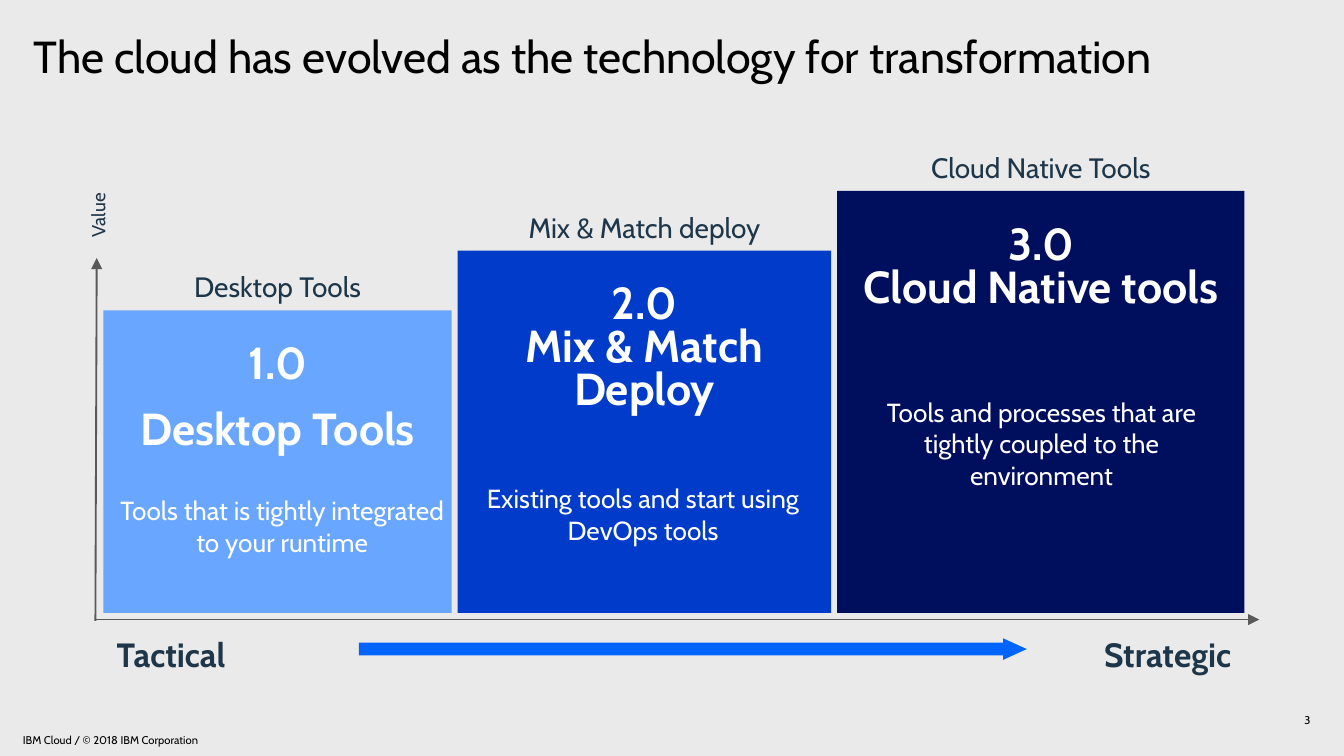
"""Build the slide on the three stages of cloud tools."""
from lxml.etree import SubElement as Sub
from pptx import Presentation as Deck
from pptx.dml.color import RGBColor as Color
from pptx.enum.shapes import MSO_CONNECTOR as Link, MSO_SHAPE as Shape
from pptx.enum.text import MSO_ANCHOR as Anchor, MSO_AUTO_SIZE as Fit, PP_ALIGN as Align
from pptx.oxml.ns import qn
from pptx.util import Inches, Pt

PAPER = Color(0xEA, 0xEA, 0xEA)
BLACK = Color(0, 0, 0)
WHITE = Color(0xFF, 0xFF, 0xFF)
SLATE = Color(0x1D, 0x36, 0x49)
GREY = Color(0x59, 0x59, 0x59)
SKY = Color(0x69, 0xA6, 0xFF)
BLUE = Color(0x00, 0x3B, 0xC9)
NAVY = Color(0x00, 0x0E, 0x5E)
BRIGHT = Color(0x00, 0x64, 0xFF)
COLS, ROWS = 100, 56.25


def write(frame, text, size=14, color=BLACK, bold=False, align=Align.LEFT,
          lead=None, after=0, pad=(0, 0), anchor=Anchor.TOP, font="Cabin"):
    """Fill a text frame, one paragraph per line of text."""
    frame.word_wrap = True
    frame.auto_size = Fit.NONE
    frame.vertical_anchor = anchor
    frame.margin_left = frame.margin_right = Inches(pad[0])
    frame.margin_top = frame.margin_bottom = Inches(pad[1])
    frame.text = text
    for para in frame.paragraphs:
        para.alignment = align
        para.line_spacing = lead
        para.space_before, para.space_after = Pt(0), Pt(after)
        for run in para.runs:
            face = run.font
            face.name, face.size, face.bold = font, Pt(size), bold
            face.color.rgb = color


class Board:
    """Hold the style and current slide; lengths are grid columns and rows."""

    def __init__(self, deck):
        self.slide = deck.slides.add_slide(deck.slide_layouts[5])
        self.shapes = self.slide.shapes
        self.col = deck.slide_width / COLS
        self.row = deck.slide_height / ROWS
        fill = self.slide.background.fill
        fill.solid()
        fill.fore_color.rgb = PAPER

    def place(self, x, y, wide, high):
        """Turn grid units into slide lengths."""
        return [round(n * unit) for n, unit in
                zip((x, y, wide, high), (self.col, self.row) * 2)]

    def title(self, box, text, **style):
        """Move and fill the title."""
        head = self.shapes.title
        head.left, head.top, head.width, head.height = self.place(*box)
        write(head.text_frame, text, **style)

    def text(self, box, text, turn=0, **style):
        """Add a text box."""
        item = self.shapes.add_textbox(*self.place(*box))
        item.rotation = turn
        write(item.text_frame, text, **style)

    def block(self, box, color, kind=Shape.RECTANGLE, tweaks=()):
        """Add a flat filled shape."""
        item = self.shapes.add_shape(kind, *self.place(*box))
        item.shadow.inherit = False
        item.fill.solid()
        item.fill.fore_color.rgb = color
        item.line.fill.background()
        for spot, value in enumerate(tweaks):
            item.adjustments[spot] = value

    def axis(self, *ends):
        """Add a line with an arrowhead at its end."""
        item = self.shapes.add_connector(Link.STRAIGHT, *self.place(*ends))
        item.line.color.rgb = GREY
        item.line.width = Pt(1)
        Sub(item.line._get_or_add_ln(), qn("a:tailEnd"), type="triangle")
        Sub(item._element.spPr, qn("a:effectLst"))


def main():
    """Draw the slide and save it."""
    deck = Deck()
    deck.slide_width = Inches(10)
    deck.slide_height = deck.slide_width * 9 // 16
    board = Board(deck)
    board.title((2.5, 2.6, 92.5, 8.4),
                "The cloud has evolved as the technology for transformation",
                size=24, lead=0.9)

    steps = [
        (25.9, SKY, "Desktop Tools", "1.0\nDesktop Tools", 12,
         "Tools that is tightly integrated to your runtime", 36.8, (0.8, 0.1)),
        (27.8, BLUE, "Mix & Match deploy", "2.0\nMix & Match Deploy", 0,
         "Existing tools and start using DevOps tools", 35.9, (-0.1, 0.1)),
        (30.3, NAVY, "Cloud Native Tools", "3.0\vCloud Native tools", 0,
         "Tools and processes that are tightly coupled to the environment",
         29.5, (1.3, 1.2)),
    ]
    left, top, base, gap, rise = 7.7, 23.1, 45.6, 0.45, 4.45
    mid = dict(align=Align.CENTER)
    for wide, color, label, head, after, note, low, (near, far) in steps:
        board.block((left, top, wide, base - top), color)
        board.text((left, top - 3.5, wide, 3.5), label, size=15, color=SLATE,
                   pad=(0.1, 0.05), **mid)
        board.text((left, top + 2.1, wide, 11.6), head, size=24, color=WHITE,
                   bold=True, lead=0.8, after=after, pad=(0.1, 0.05), **mid)
        board.text((left + near, low, wide - near - far, 5.2), note,
                   color=WHITE, **mid)
        left += wide + gap
        top -= rise

    board.axis(7.1, 46.2, 7.2, 19.2)
    board.axis(7.1, 46.1, 93.7, 46.1)
    board.block((26.7, 47.5, 49.7, 1.6), BRIGHT, Shape.RIGHT_ARROW, (0.6, 1.1))
    tag = dict(color=SLATE, pad=(0.1, 0.05))
    board.text((3.5, 13.5, 7.6, 2.7), "Value", turn=270, size=10.1, **tag)
    board.text((7.7, 46.7, 25.9, 4), "Tactical", size=18, bold=True, **tag)
    board.text((62.4, 46.7, 30.2, 4), "Strategic", size=18, bold=True,
               align=Align.RIGHT, **tag)
    small = dict(size=6, anchor=Anchor.MIDDLE)
    board.text((75, 52.8, 22.5, 1.5), "3", align=Align.RIGHT, **small)
    board.text((1.7, 54.5, 52.5, 1.1), "IBM Cloud / © 2018 IBM Corporation", **small)
    deck.save("out.pptx")


if __name__ == "__main__":
    main()
